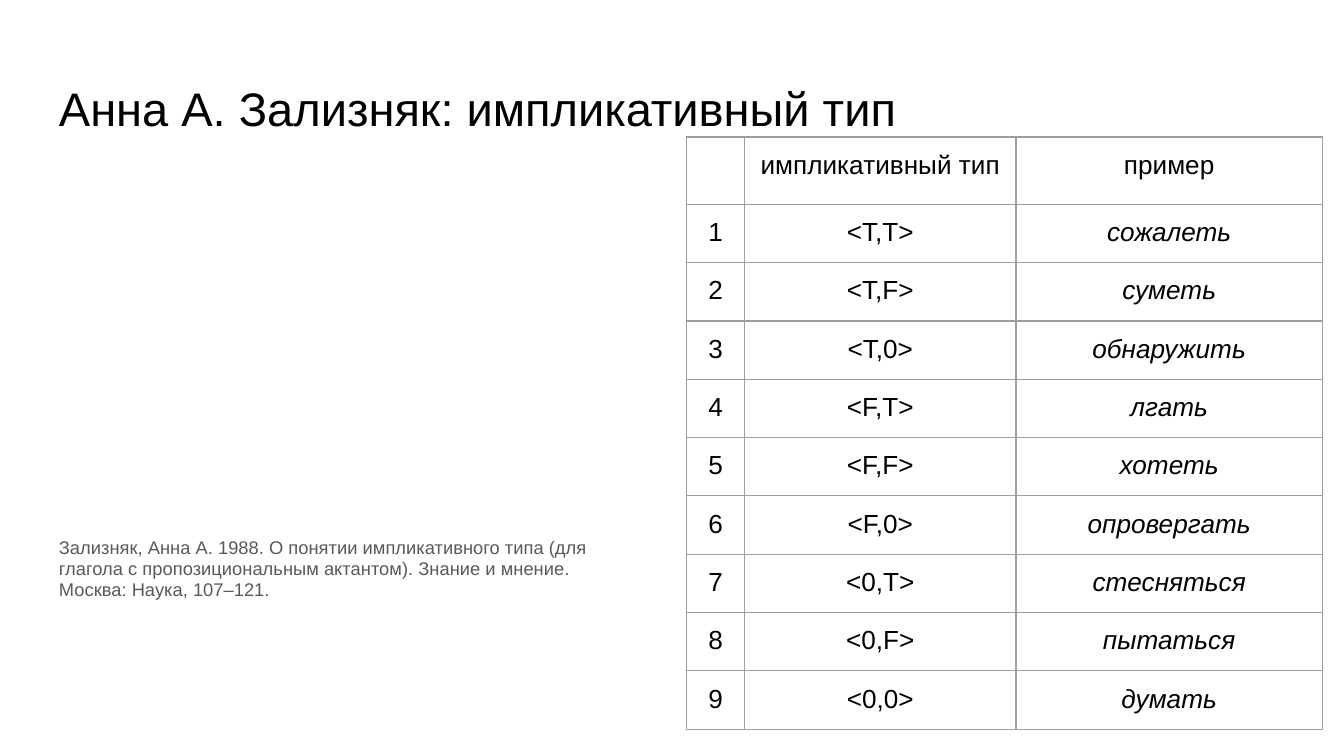
from dataclasses import dataclass

from lxml import etree
from pptx import Presentation
from pptx import util as u
from pptx.dml.color import RGBColor
from pptx.enum import text
from pptx.oxml import ns


@dataclass(frozen=True)
class Theme:
    font: str = "Arial"
    ink: str = "000000"
    muted: str = "595959"
    rule: str = "9E9E9E"
    rule_width: float = 0.75
    title_size: float = 25.2
    table_size: float = 14
    source_size: float = 9.8
    inset: float = 0.1


class SlideBuilder:
    """Draws text and tables on one slide in one theme."""

    def __init__(self, page, theme):
        self.page = page
        self.theme = theme

    def style(self, paragraph, size, color, italic=False):
        font = paragraph.font
        font.name = self.theme.font
        font.size = u.Pt(size)
        font.italic = italic
        font.color.rgb = RGBColor.from_string(color)

    def set_margins(self, target):
        inset = u.Inches(self.theme.inset)
        target.margin_left = target.margin_right = inset
        target.margin_top = target.margin_bottom = inset

    def text(self, place, words, size, color):
        box = self.page.shapes.add_textbox(*map(u.Inches, place))
        frame = box.text_frame
        frame.word_wrap = True
        self.set_margins(frame)
        paragraph = frame.paragraphs[0]
        paragraph.text = words
        self.style(paragraph, size, color)
        return frame

    def title(self, place, words):
        self.text(place, words, self.theme.title_size, self.theme.ink)

    def source(self, place, words, bottom):
        frame = self.text(place, words, self.theme.source_size, self.theme.muted)
        frame.vertical_anchor = text.MSO_ANCHOR.BOTTOM
        frame.margin_bottom = u.Inches(bottom)
        frame.paragraphs[0].line_spacing = 0.95

    def border(self, cell):
        properties = cell._tc.get_or_add_tcPr()
        for position, side in enumerate(("a:lnL", "a:lnR", "a:lnT", "a:lnB")):
            line = etree.Element(ns.qn(side), w=str(u.Pt(self.theme.rule_width)))
            fill = etree.SubElement(line, ns.qn("a:solidFill"))
            etree.SubElement(fill, ns.qn("a:srgbClr"), val=self.theme.rule)
            properties.insert(position, line)

    def table(self, place, widths, row_height, rows, italic_column):
        frame = self.page.shapes.add_table(
            len(rows), len(widths), *map(u.Inches, place))
        table = frame.table
        table.first_row = table.horz_banding = False
        for column, width in zip(table.columns, widths):
            column.width = u.Inches(width)
        for index, (row, words) in enumerate(zip(table.rows, rows)):
            row.height = u.Inches(row_height)
            for column, (cell, word) in enumerate(zip(row.cells, words)):
                self.set_margins(cell)
                cell.fill.background()
                self.border(cell)
                if word:
                    paragraph = cell.text_frame.paragraphs[0]
                    paragraph.text = word
                    paragraph.alignment = text.PP_ALIGN.CENTER
                    italic = index > 0 and column == italic_column
                    self.style(paragraph, self.theme.table_size, self.theme.ink, italic)


def main():
    deck = Presentation()
    deck.slide_width = u.Inches(10)
    deck.slide_height = deck.slide_width * 9 // 16
    page = deck.slides.add_slide(deck.slide_layouts[6])
    builder = SlideBuilder(page, Theme())

    builder.title((0.34, 0.49, 9.32, 0.63), "Анна А. Зализняк: импликативный тип")
    builder.source(
        (0.34, 1.26, 4.37, 3.74),
        "Зализняк, Анна А. 1988. О понятии импликативного типа (для глагола "
        "с пропозициональным актантом). Знание и мнение. Москва: Наука, 107–121.",
        bottom=0.7)

    types = [f"<{first},{second}>" for first in "TF0" for second in "TF0"]
    examples = ["сожалеть", "суметь", "обнаружить", "лгать", "хотеть",
                "опровергать", "стесняться", "пытаться", "думать"]
    rows = [("", "импликативный тип", "пример")]
    rows += [(str(number), kind, example)
             for number, (kind, example) in enumerate(zip(types, examples), 1)]
    builder.table((5.11, 1.02, 3.28, 3.28), (0.43, 2.02, 2.28), 0.32, rows,
                  italic_column=2)

    deck.save("out.pptx")


if __name__ == "__main__":
    main()
